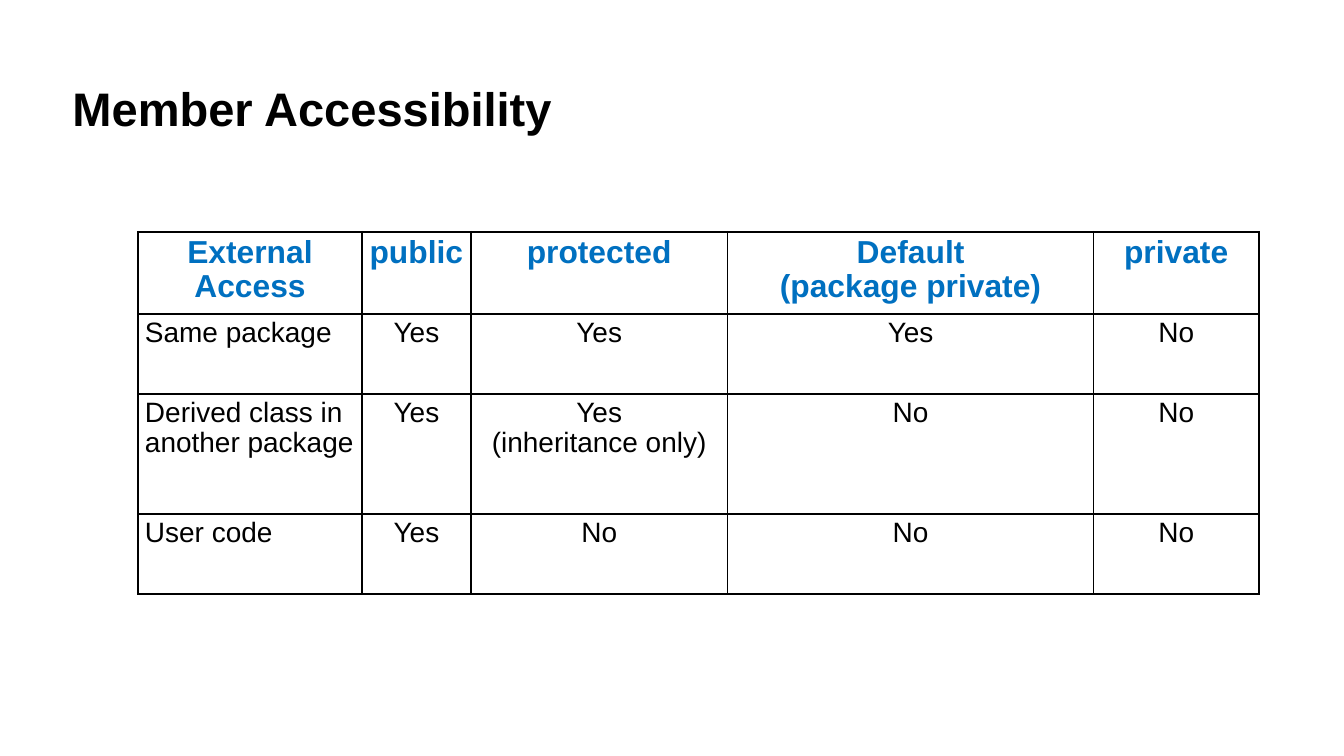
from lxml.etree import SubElement
from pptx import Presentation
from pptx.dml.color import RGBColor
from pptx.enum.text import MSO_ANCHOR, MSO_AUTO_SIZE, PP_ALIGN
from pptx.oxml.ns import qn
from pptx.util import Cm, Pt

FONT = "Arial"
BLACK = "000000"
BLUE = "0070C0"

TITLE_FORMAT = {"name": FONT, "size": Pt(25.2), "bold": True}
HEADER_FORMAT = {"name": FONT, "size": Pt(17), "bold": True}
BODY_FORMAT = {"name": FONT, "size": Pt(15), "bold": False}
TITLE_FRAME = {
    "margin_left": Cm(0.5), "margin_right": Cm(0.25),
    "margin_top": Cm(0.25), "margin_bottom": Cm(0.25),
    "vertical_anchor": MSO_ANCHOR.MIDDLE,
    "auto_size": MSO_AUTO_SIZE.NONE, "word_wrap": True,
}
CELL_FRAME = {
    "margin_left": Cm(0.13), "margin_right": Cm(0.13),
    "margin_top": Cm(0.08), "margin_bottom": Cm(0.08),
    "vertical_anchor": MSO_ANCHOR.TOP,
}

COLUMN_WIDTHS = [4.23, 2.06, 4.85, 6.92, 3.12]
ROW_HEIGHTS = [1.56, 1.51, 2.27, 1.51]
ACCESS_ROWS = [
    ["External Access", "public", "protected", "Default\n(package private)", "private"],
    ["Same package", "Yes", "Yes", "Yes", "No"],
    ["Derived class in another package", "Yes", "Yes\n(inheritance only)", "No", "No"],
    ["User code", "Yes", "No", "No", "No"],
]


def set_attributes(target, values):
    for name, value in values.items():
        setattr(target, name, value)


def set_color(color_format, color):
    color_format.rgb = RGBColor.from_string(color)


def format_paragraph(paragraph, font_format, color, alignment):
    paragraph.alignment = alignment
    set_attributes(paragraph.font, font_format)
    set_color(paragraph.font.color, color)


def add_borders(cell, color, width):
    properties = cell._tc.get_or_add_tcPr()
    for side in ("lnL", "lnR", "lnT", "lnB"):
        line = SubElement(properties, qn(f"a:{side}"), w=str(Pt(width)))
        fill = SubElement(line, qn("a:solidFill"))
        SubElement(fill, qn("a:srgbClr"), val=color)


def place_title(slide, text, left, top, width, height):
    title = slide.shapes.title
    set_attributes(title, {"left": left, "top": top, "width": width, "height": height})
    set_attributes(title.text_frame, TITLE_FRAME)
    title.text_frame.text = text
    format_paragraph(title.text_frame.paragraphs[0], TITLE_FORMAT, BLACK, PP_ALIGN.LEFT)


def fill_cell(cell, text, is_header, alignment):
    set_attributes(cell, CELL_FRAME)
    cell.text = text
    for paragraph in cell.text_frame.paragraphs:
        paragraph.line_spacing = 0.96
        format_paragraph(
            paragraph,
            HEADER_FORMAT if is_header else BODY_FORMAT,
            BLUE if is_header else BLACK,
            alignment,
        )
    # Borders come before the fill in the cell properties
    add_borders(cell, BLACK, 1)
    cell.fill.background()


def add_access_table(slide, left, top):
    width, height = Cm(sum(COLUMN_WIDTHS)), Cm(sum(ROW_HEIGHTS))
    table = slide.shapes.add_table(
        len(ROW_HEIGHTS), len(COLUMN_WIDTHS), left, top, width, height
    ).table
    set_attributes(table, {"first_row": False, "horz_banding": False})
    for column, column_width in zip(table.columns, COLUMN_WIDTHS):
        column.width = Cm(column_width)
    for row, row_height in zip(table.rows, ROW_HEIGHTS):
        row.height = Cm(row_height)

    # Only the row labels are left-aligned
    for row_index, row_texts in enumerate(ACCESS_ROWS):
        for column_index, text in enumerate(row_texts):
            is_header = row_index == 0
            is_label = column_index == 0 and not is_header
            alignment = PP_ALIGN.LEFT if is_label else PP_ALIGN.CENTER
            fill_cell(table.cell(row_index, column_index), text, is_header, alignment)


def main():
    presentation = Presentation()
    presentation.slide_width = Cm(25.4)
    presentation.slide_height = Cm(14.29)
    slide = presentation.slides.add_slide(presentation.slide_layouts[5])

    place_title(slide, "Member Accessibility", Cm(0.87), Cm(1.24), Cm(23.67), Cm(1.6))
    add_access_table(slide, Cm(2.61), Cm(4.38))

    presentation.save("out.pptx")


if __name__ == "__main__":
    main()
